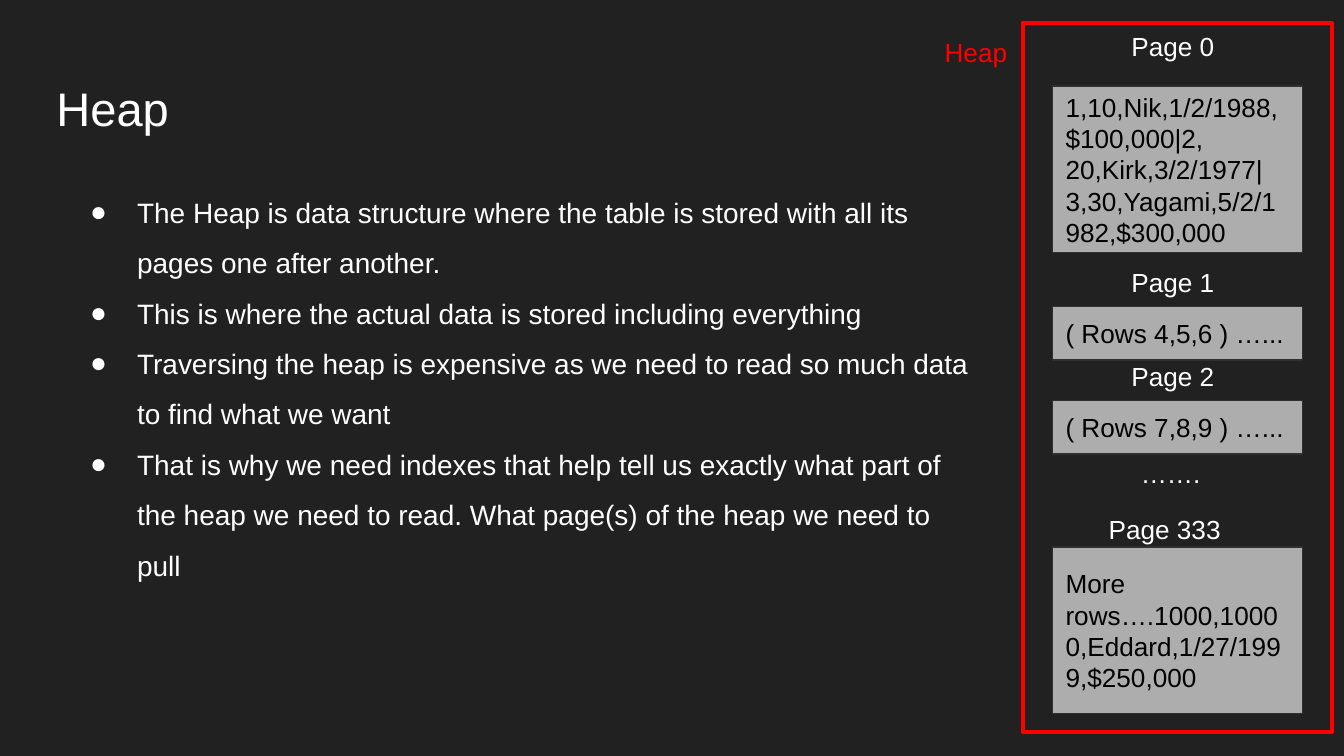
from dataclasses import dataclass

from lxml import etree
from pptx import Presentation
from pptx.dml.color import RGBColor
from pptx.enum import shapes, text
from pptx.oxml.ns import qn
from pptx.util import Inches, Pt

COLORS = {
    "background": "212121",
    "light": "FFFFFF",
    "dark": "000000",
    "accent": "FF0000",
    "page": "ADADAD",
    "border": "303030",
}
FONT = "Arial"
BULLETS = [
    "The Heap is data structure where the table is stored with all its pages one after another.",
    "This is where the actual data is stored including everything",
    "Traversing the heap is expensive as we need to read so much data to find what we want",
    "That is why we need indexes that help tell us exactly what part of the heap "
    "we need to read. What page(s) of the heap we need to pull",
]


@dataclass
class Label:
    words: str
    left: float
    top: float
    width: float = 0.9
    color: str = "light"


@dataclass
class Page:
    rows: str
    top: float
    height: float


LABELS = [
    Label("Heap", 6.93, 0.17, 0.85, "accent"),
    Label("Page 0", 8.32, 0.13),
    Label("Page 1", 8.32, 1.88),
    Label("Page 2", 8.32, 2.58),
    Label("…….", 8.39, 3.3),
    Label("Page 333", 8.15, 3.72, 1.15),
]
PAGES = [
    Page("1,10,Nik,1/2/1988,$100,000|2, 20,Kirk,3/2/1977|3,30,Yagami,5/2/1982,$300,000", 0.64, 1.24),
    Page("( Rows 4,5,6 ) …...", 2.28, 0.4),
    Page("( Rows 7,8,9 ) …...", 2.98, 0.4),
    Page("More rows….1000,10000,Eddard,1/27/1999,$250,000", 4.07, 1.24),
]


def rgb(name: str) -> RGBColor:
    return RGBColor.from_string(COLORS[name])


def place(shape, left: float, top: float, width: float, height: float) -> None:
    shape.left, shape.top = Inches(left), Inches(top)
    shape.width, shape.height = Inches(width), Inches(height)


def set_up_frame(shape, anchor=text.MSO_ANCHOR.TOP):
    frame = shape.text_frame
    frame.word_wrap = True
    frame.auto_size = text.MSO_AUTO_SIZE.NONE
    frame.vertical_anchor = anchor
    frame.margin_left = frame.margin_right = Inches(0.1)
    frame.margin_top = frame.margin_bottom = Inches(0.1)
    return frame


def write(paragraph, words: str, size: float, color: str) -> None:
    paragraph.alignment = text.PP_ALIGN.LEFT
    paragraph.space_before = Pt(0)
    run = paragraph.add_run()
    run.text = words
    run.font.name = FONT
    run.font.size = Pt(size)
    run.font.color.rgb = rgb(color)


def add_bullet(paragraph) -> None:
    properties = paragraph._p.get_or_add_pPr()
    properties.set("marL", str(Inches(0.5)))
    properties.set("indent", str(-Inches(0.35)))
    color = etree.SubElement(properties, qn("a:buClr"))
    etree.SubElement(color, qn("a:srgbClr"), val=COLORS["light"])
    etree.SubElement(properties, qn("a:buFont"), typeface=FONT)
    etree.SubElement(properties, qn("a:buChar"), char="●")


def fill_title(slide) -> None:
    title = slide.shapes.title
    place(title, 0.32, 0.49, 9.32, 0.63)
    write(set_up_frame(title).paragraphs[0], "Heap", 25.2, "light")


def fill_body(slide) -> None:
    body = slide.placeholders[1]
    place(body, 0.42, 1.23, 6.98, 3.23)
    frame = set_up_frame(body)
    for index, words in enumerate(BULLETS):
        paragraph = frame.add_paragraph() if index else frame.paragraphs[0]
        write(paragraph, words, 15, "light")
        paragraph.line_spacing = 1.5
        add_bullet(paragraph)


def add_rectangle(slide, left: float, top: float, width: float, height: float, line: str, weight: float):
    shape = slide.shapes.add_shape(
        shapes.MSO_SHAPE.RECTANGLE, Inches(left), Inches(top), Inches(width), Inches(height)
    )
    shape.shadow.inherit = False
    shape.line.color.rgb = rgb(line)
    shape.line.width = Pt(weight)
    return shape


def add_page(slide, page: Page) -> None:
    shape = add_rectangle(slide, 7.83, page.top, 1.86, page.height, "border", 0.75)
    shape.fill.solid()
    shape.fill.fore_color.rgb = rgb("page")
    frame = set_up_frame(shape, text.MSO_ANCHOR.MIDDLE)
    write(frame.paragraphs[0], page.rows, 14, "dark")


def add_label(slide, label: Label) -> None:
    box = slide.shapes.add_textbox(
        Inches(label.left), Inches(label.top), Inches(label.width), Inches(0.44)
    )
    write(set_up_frame(box).paragraphs[0], label.words, 14, label.color)


def main() -> None:
    presentation = Presentation()
    presentation.slide_width = Inches(10)
    presentation.slide_height = Inches(10) * 9 // 16
    slide = presentation.slides.add_slide(presentation.slide_layouts[1])
    slide.background.fill.solid()
    slide.background.fill.fore_color.rgb = rgb("background")
    fill_title(slide)
    fill_body(slide)
    heap_frame = add_rectangle(slide, 7.61, 0.17, 2.3, 5.28, "accent", 2.25)
    heap_frame.fill.background()
    for page in PAGES:
        add_page(slide, page)
    for label in LABELS:
        add_label(slide, label)
    presentation.save("out.pptx")


if __name__ == "__main__":
    main()
